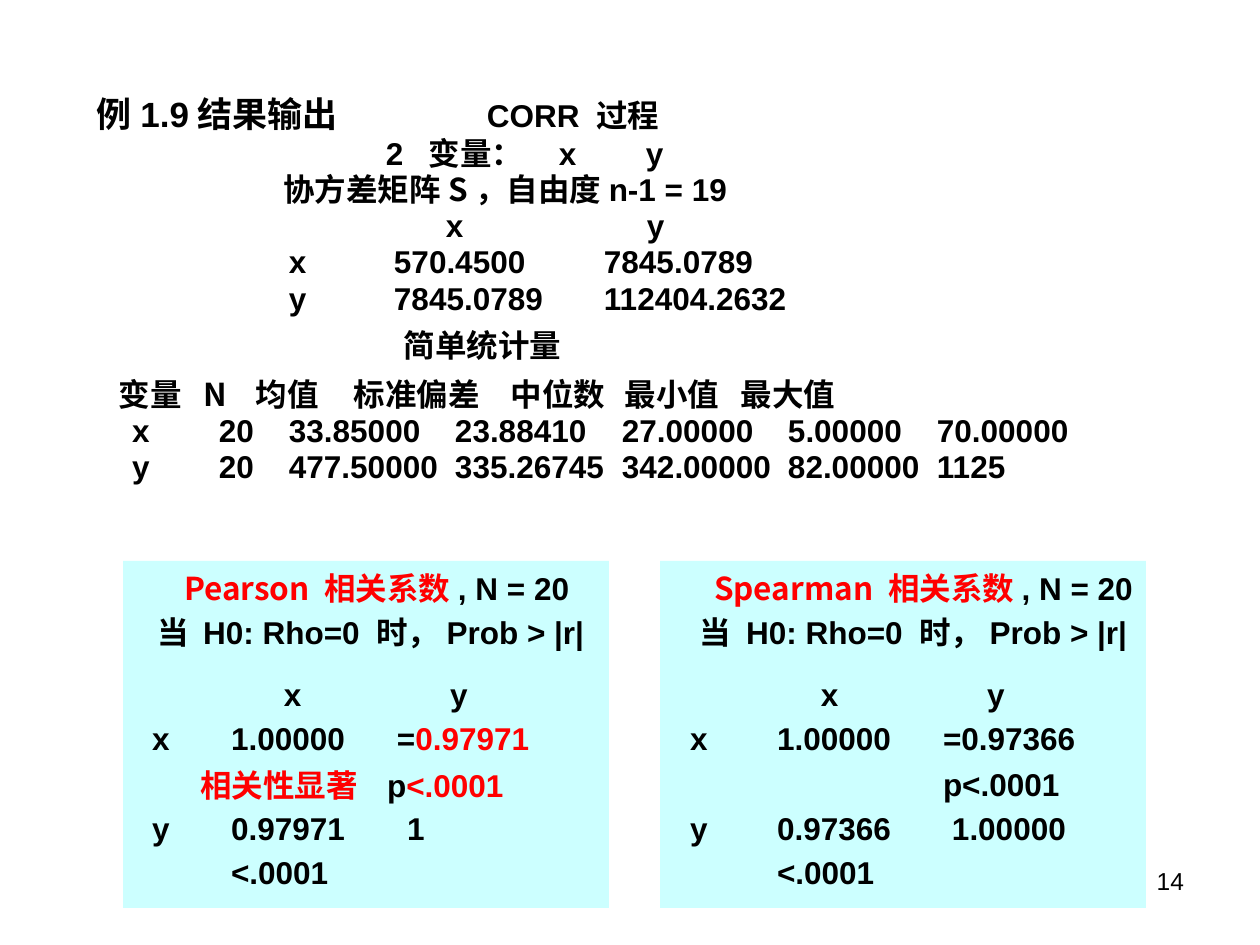
from typing import NamedTuple

from lxml import etree
from pptx import Presentation
from pptx.dml.color import RGBColor
from pptx.enum.shapes import MSO_SHAPE
from pptx.enum.text import MSO_ANCHOR, PP_ALIGN
from pptx.oxml.ns import qn
from pptx.util import Emu, Pt

RECT = MSO_SHAPE.RECTANGLE
TOP, LEFT, RIGHT = MSO_ANCHOR.TOP, PP_ALIGN.LEFT, PP_ALIGN.RIGHT
BLACK = RGBColor(0, 0, 0)
RED = RGBColor(0xFF, 0, 0)
CYAN = RGBColor(0xCC, 0xFF, 0xFF)
ARIAL, NOTO = "Arial", "Noto Sans CJK SC"
PX = 914400 / 126


class Cell(NamedTuple):
    """Text at a tab stop, or directly after the cell before when x is 0."""
    x: int
    text: str
    color: RGBColor = BLACK
    font: str = ARIAL
    size: int = 18
    bold: bool = True


class Row(NamedTuple):
    before: int
    cells: list[Cell]


class Box(NamedTuple):
    left: int
    top: int
    width: int
    height: int
    inset_top: int
    line: int
    rows: list[Row]
    align: PP_ALIGN = LEFT


def px(n: int) -> Emu:
    return Emu(round(n * PX))


def row(before: int, xs: list[int], texts: list[str], font: str = ARIAL) -> Row:
    return Row(before, [Cell(x, t, font=font) for x, t in zip(xs, texts)])


def add_tabs(p, stops: list[int]) -> None:
    tabs = etree.SubElement(p._p.get_or_add_pPr(), qn("a:tabLst"))
    for x in stops:
        etree.SubElement(tabs, qn("a:tab"), pos=str(int(px(x))), algn="l")


def add_cell(p, cell: Cell) -> None:
    r = p.add_run()
    r.text = ("\t" if cell.x else "") + cell.text
    formats = {"name": cell.font, "size": Pt(cell.size), "bold": cell.bold}
    for name, value in formats.items():
        setattr(r.font, name, value)
    r.font.color.rgb = cell.color
    etree.SubElement(r._r.get_or_add_rPr(), qn("a:ea"), typeface=NOTO)


def fill_text(sp, box: Box) -> None:
    tf = sp.text_frame
    formats = {"word_wrap": True, "vertical_anchor": TOP,
               "margin_left": px(13), "margin_right": px(0),
               "margin_top": px(box.inset_top), "margin_bottom": px(0)}
    for name, value in formats.items():
        setattr(tf, name, value)
    for i, line in enumerate(box.rows):
        p = tf.add_paragraph() if i else tf.paragraphs[0]
        p.alignment = box.align
        p.line_spacing = px(box.line)
        if i:
            p.space_before = px(line.before)
        stops = [c.x for c in line.cells if c.x]
        if stops:
            add_tabs(p, stops)
        for cell in line.cells:
            add_cell(p, cell)


def add_text(slide, box: Box) -> None:
    sp = slide.shapes.add_textbox(*map(px, box[:4]))
    fill_text(sp, box)


def add_card(slide, box: Box) -> None:
    sp = slide.shapes.add_shape(RECT, *map(px, box[:4]))
    sp.shadow.inherit = False
    sp.fill.solid()
    sp.fill.fore_color.rgb = CYAN
    sp.line.fill.background()
    fill_text(sp, box)


MATRIX = [192, 297, 507]
STATS = [35, 122, 192, 358, 525, 691, 840]
OUTPUT = Box(84, 66, 1002, 466, 33, 36, [
    Row(0, [Cell(0, "例1.9结果输出", size=20), Cell(390, "CORR 过程")]),
    row(1, [289, 332, 462, 549], ["2", "变量：", "x", "y"]),
    Row(0, [Cell(186, "协方差矩阵S", font=NOTO), Cell(0, "，自由度n-1 = 19")]),
    row(0, [349, 550], ["x", "y"]),
    row(0, MATRIX, ["x", "570.4500", "7845.0789"]),
    row(1, MATRIX, ["y", "7845.0789", "112404.2632"]),
    row(11, [307], ["简单统计量"]),
    row(13, [22, 107, 159, 257, 414, 528, 644],
        ["变量", "N", "均值", "标准偏差", "中位数", "最小值", "最大值"], NOTO),
    row(0, STATS, ["x", "20", "33.85000", "23.88410", "27.00000",
                   "5.00000", "70.00000"]),
    row(0, STATS, ["y", "20", "477.50000", "335.26745", "342.00000",
                   "82.00000", "1125"]),
])


def card(left: int, name: str, title_x: int, test_x: int,
         rows: list[Row]) -> Box:
    """Correlation card: shared heading lines, then its own matrix rows."""
    heading = [
        Row(0, [Cell(title_x, name + " 相关系数", RED, NOTO),
                Cell(0, ", N = 20")]),
        row(4, [test_x], ["当 H0: Rho=0 时，Prob > |r|"]),
        row(22, [148, 314], ["x", "y"]),
    ]
    return Box(left, 561, 486, 347, 6, 40, heading + rows)


SPEARMAN = card(660, "Spearman", 41, 27, [
    row(4, [17, 104, 270], ["x", "1.00000", "=0.97366"]),
    row(6, [270], ["p<.0001"]),
    row(4, [17, 104, 279], ["y", "0.97366", "1.00000"]),
    row(4, [104], ["<.0001"]),
])
PEARSON = card(123, "Pearson", 48, 21, [
    Row(4, [Cell(16, "x"), Cell(95, "1.00000"), Cell(261, "="),
            Cell(0, "0.97971", RED)]),
    Row(7, [Cell(64, "相关性显著", RED), Cell(251, "p"),
            Cell(0, "<.0001", RED)]),
    row(3, [16, 95, 271], ["y", "0.97971", "1"]),
    row(4, [95], ["<.0001"]),
])
PAGE_NUMBER = Box(903, 861, 281, 65, 6, 28,
                  [Row(0, [Cell(0, "14", size=14, bold=False)])], RIGHT)


def main() -> None:
    prs = Presentation()
    prs.slide_width, prs.slide_height = px(1260), px(945)
    slide = prs.slides.add_slide(prs.slide_layouts[6])
    for box in (PAGE_NUMBER, OUTPUT):
        add_text(slide, box)
    for box in (SPEARMAN, PEARSON):
        add_card(slide, box)
    prs.save("out.pptx")


if __name__ == "__main__":
    main()
